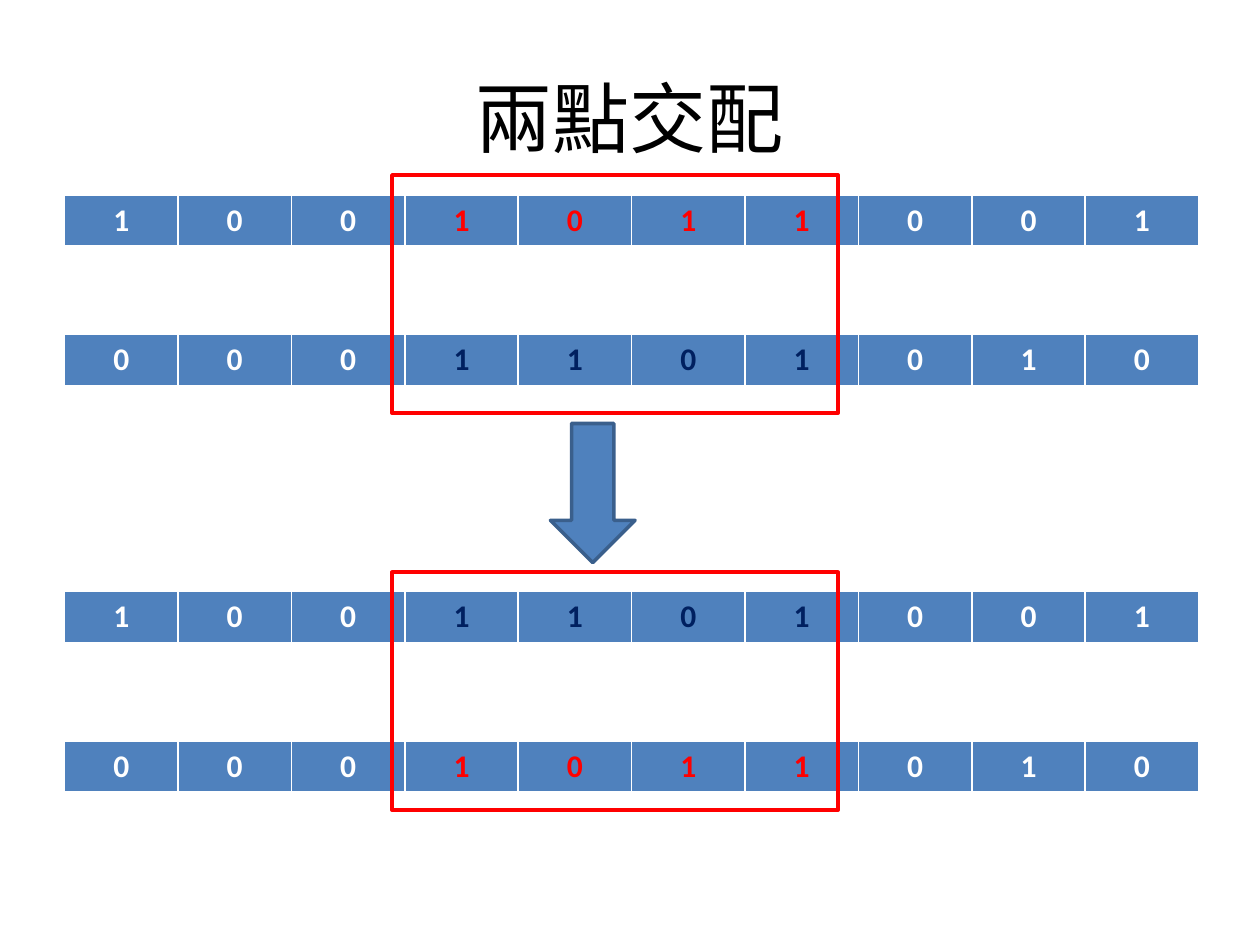
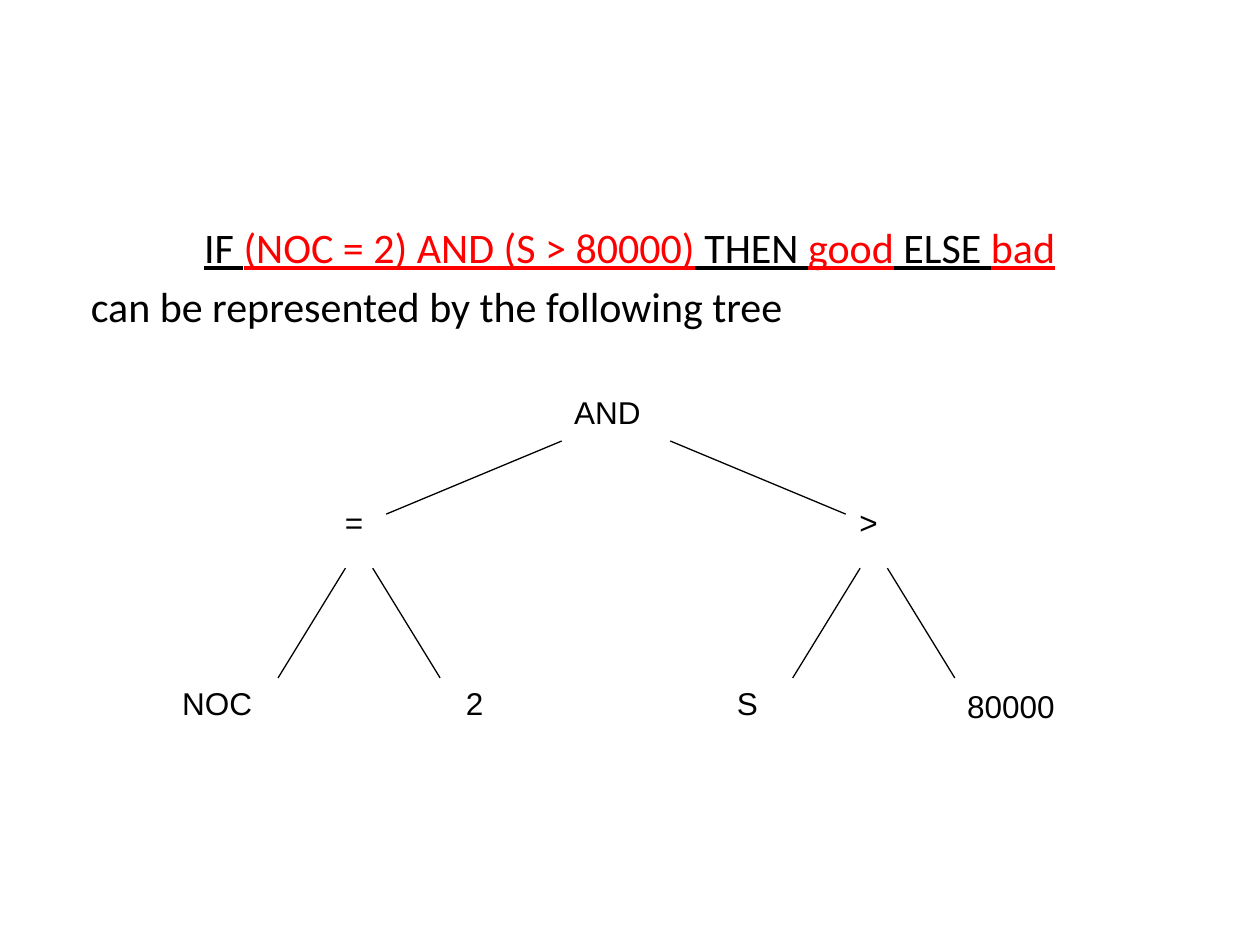
from lxml import etree
from pptx import Presentation
from pptx.dml.color import RGBColor
from pptx.enum import shapes, text
from pptx.oxml import ns
from pptx.util import Pt

WHITE = RGBColor(0xFF, 0xFF, 0xFF)
BLACK = RGBColor(0, 0, 0)
RED = RGBColor(0xFF, 0, 0)
NAVY = RGBColor(0x00, 0x20, 0x60)
BLUE = RGBColor(0x4F, 0x81, 0xBD)
BLUE_EDGE = RGBColor(0x3A, 0x5F, 0x8C)
BODY_FONT, TREE_FONT = "Calibri", "Arial"

TITLE = "兩點交配"
PARENTS = [("1001011001", RED), ("0001101010", NAVY)]
CUT_START, CUT_END = 3, 7
GENE_LEFT, GENE_W, GENE_H = 36.9, 64.8, 29.2
PARENT_TOPS = [111.5, 191]
CHILD_TOPS = [337.8, 423.3]
CUT_FRAME_TOPS = [100, 327]
CUT_FRAME_LEFT, CUT_FRAME_W, CUT_FRAME_H = 224, 255, 136
ARROW_BOX = (314.5, 242, 48.4, 79.5)

RULE = [
    [("IF ", BLACK), ("(NOC = 2) AND (S > 80000)", RED), (" THEN ", BLACK),
     ("good", RED), (" ELSE ", BLACK), ("bad", RED)],
    [("can be represented by the following tree", BLACK)],
]
RULE_BOX = (44.8, 123, 630, 293.8)
NODES = [
    ("AND", 321, 221, 93), ("=", 190, 283.7, 39), (">", 484, 283.7, 39),
    ("NOC", 97, 387.4, 93), ("2", 259.2, 387.4, 39),
    ("S", 414, 387.4, 39), ("80000", 545.5, 389, 85),
]
NODE_H = 29
FORKS = [
    (352, 31, 131.3, 252, 293.8),
    (205.2, 7.8, 46.3, 324.7, 387.4),
    (499.3, 7.8, 46.3, 324.7, 387.4),
]


def points(*values):
    return [Pt(v) for v in values]


def style(r, size, font, color, **flags):
    r.font.size, r.font.name = Pt(size), font
    r.font.color.rgb = color
    for flag, value in flags.items():
        setattr(r.font, flag, value)


def add_text_box(slide, box):
    tf = slide.shapes.add_textbox(*points(*box)).text_frame
    tf.word_wrap = True
    return tf


def add_preset(slide, kind, box, line, fill=None):
    sp = slide.shapes.add_shape(kind, *points(*box))
    sp.shadow.inherit = False
    sp.line.color.rgb, sp.line.width = line, Pt(2)
    if fill is None:
        sp.fill.background()
    else:
        sp.fill.solid()
        sp.fill.fore_color.rgb = fill


def add_line(slide, x1, y1, x2, y2):
    cx = slide.shapes.add_connector(shapes.MSO_CONNECTOR.STRAIGHT, *points(x1, y1, x2, y2))
    cx.line.color.rgb, cx.line.width = BLACK, Pt(0.75)
    etree.SubElement(cx._element.spPr, ns.qn("a:effectLst"))


def crossover(receiver, donor):
    genes, color = donor
    kept = receiver[0]
    return kept[:CUT_START] + genes[CUT_START:CUT_END] + kept[CUT_END:], color


def add_chromosome(slide, top, genes, cut_color):
    n = len(genes)
    table = slide.shapes.add_table(1, n, *points(GENE_LEFT, top, n * GENE_W, GENE_H)).table
    for i, gene in enumerate(genes):
        table.columns[i].width = Pt(GENE_W)
        cell = table.cell(0, i)
        cell.fill.solid()
        cell.fill.fore_color.rgb = BLUE
        cell.text_frame.text = gene
        p = cell.text_frame.paragraphs[0]
        p.alignment = text.PP_ALIGN.CENTER
        color = cut_color if CUT_START <= i < CUT_END else WHITE
        style(p.runs[0], 18, BODY_FONT, color, bold=True)


def build_crossover(prs):
    slide = prs.slides.add_slide(prs.slide_layouts[5])
    title = slide.shapes.title
    title.left, title.top, title.width, title.height = points(36, 21.6, 648, 90)
    title.text_frame.text = TITLE
    p = title.text_frame.paragraphs[0]
    p.alignment = text.PP_ALIGN.CENTER
    style(p.runs[0], 44, BODY_FONT, BLACK)

    first, second = PARENTS
    children = [crossover(first, second), crossover(second, first)]
    for top, (genes, color) in zip(PARENT_TOPS + CHILD_TOPS, PARENTS + children):
        add_chromosome(slide, top, genes, color)
    for top in CUT_FRAME_TOPS:
        frame = (CUT_FRAME_LEFT, top, CUT_FRAME_W, CUT_FRAME_H)
        add_preset(slide, shapes.MSO_SHAPE.RECTANGLE, frame, RED)
    add_preset(slide, shapes.MSO_SHAPE.DOWN_ARROW, ARROW_BOX, BLUE_EDGE, BLUE)


def build_rule_tree(prs):
    slide = prs.slides.add_slide(prs.slide_layouts[6])
    tf = add_text_box(slide, RULE_BOX)
    for i, parts in enumerate(RULE):
        p = tf.add_paragraph() if i else tf.paragraphs[0]
        if i:
            p.space_before = Pt(4.8)
        else:
            p.alignment = text.PP_ALIGN.CENTER
        for words, color in parts:
            r = p.add_run()
            r.text = words
            style(r, 24, BODY_FONT, color, underline=i == 0)

    for label, left, top, width in NODES:
        tf = add_text_box(slide, (left, top, width, NODE_H))
        tf.text = label
        style(tf.paragraphs[0].runs[0], 18, TREE_FONT, BLACK)
    for center, near, far, top, bottom in FORKS:
        for side in (-1, 1):
            add_line(slide, center + side * near, top, center + side * far, bottom)


def main():
    prs = Presentation()
    prs.slide_width, prs.slide_height = points(720, 540)
    build_crossover(prs)
    build_rule_tree(prs)
    prs.save("out.pptx")


if __name__ == "__main__":
    main()
